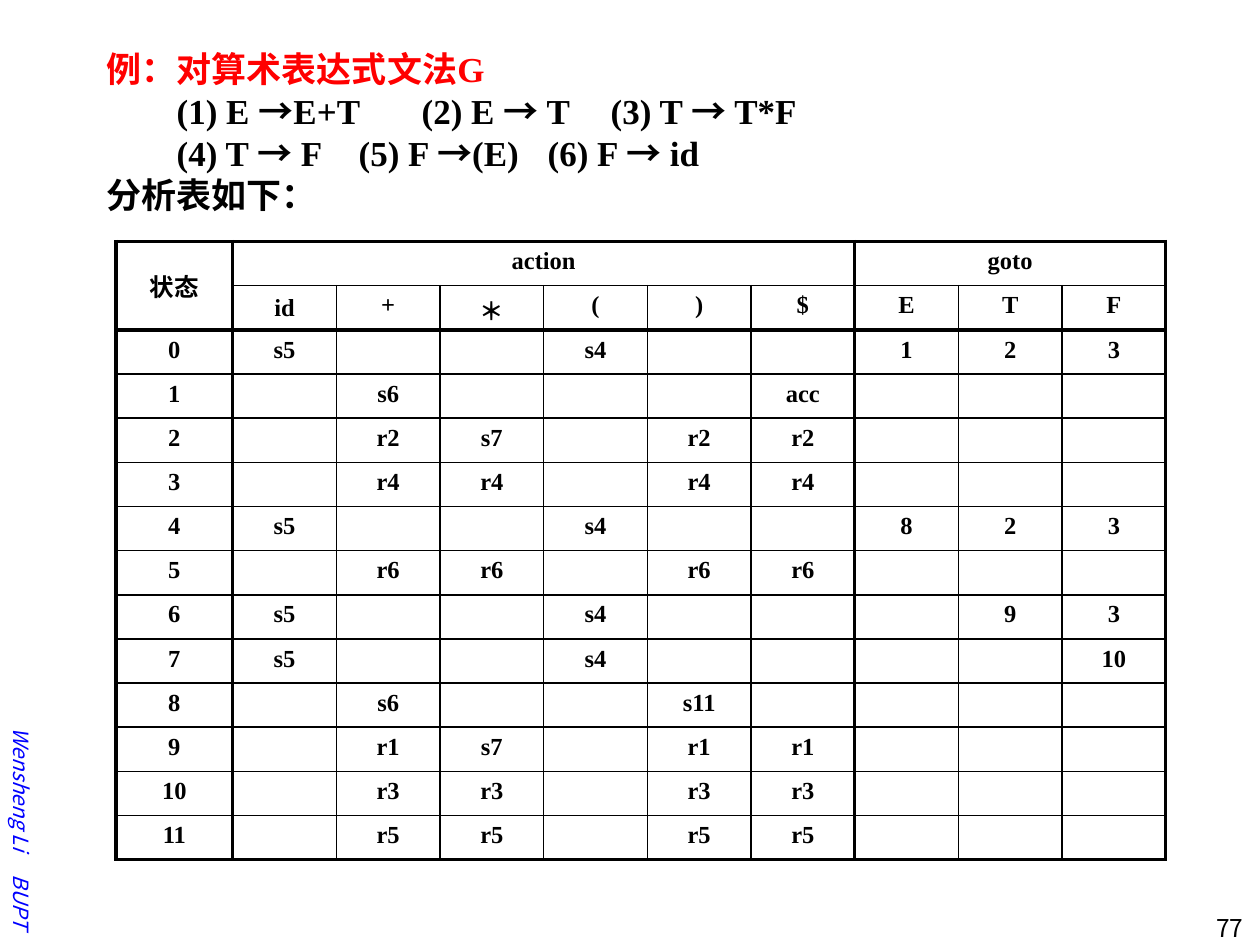
from itertools import groupby

from lxml.etree import SubElement
from pptx import Presentation
from pptx.dml.color import RGBColor
from pptx.enum.text import MSO_ANCHOR as Anchor, PP_ALIGN as Align
from pptx.oxml.ns import qn
from pptx.util import Cm, Pt

BLACK = RGBColor(0, 0, 0)
RED = RGBColor(255, 0, 0)
BLUE = RGBColor(0, 0, 255)
SERIF = "Times New Roman"
SANS = "Noto Sans CJK SC"
SANS_SIGNS = "→＊状态"

GRAMMAR = [
    "(1) E →E+T\t(2) E → T\t(3) T → T*F",
    "(4) T → F\t(5) F →(E)\t(6) F → id",
]
# One row per line; a dot is an empty cell
ROWS = [line.split() for line in """\
状态 action . . . . . goto . .
. id + ＊ ( ) $ E T F
0 s5 . . s4 . . 1 2 3
1 . s6 . . . acc . . .
2 . r2 s7 . r2 r2 . . .
3 . r4 r4 . r4 r4 . . .
4 s5 . . s4 . . 8 2 3
5 . r6 r6 . r6 r6 . . .
6 s5 . . s4 . . . 9 3
7 s5 . . s4 . . . . 10
8 . s6 . . s11 . . . .
9 . r1 s7 . r1 r1 . . .
10 . r3 r3 . r3 r3 . . .
11 . r5 r5 . r5 r5 . . .""".splitlines()]
THICK_ROWS = {0, 2, 14}
THICK_COLS = {0, 1, 7, 10}


class SlideBuilder:
    def __init__(self, s):
        self.s = s

    def run(self, p, text, size, color=BLACK, font=SERIF, bold=False, italic=False):
        r = p.add_run()
        r.text = text
        f = r.font
        f.size, f.bold, f.italic, f.name = Pt(size), bold, italic, font
        f.color.rgb = color
        SubElement(r._r.get_or_add_rPr(), qn("a:ea")).set("typeface", SANS)
        return r

    def mixed(self, p, text, size, color=BLACK):
        """Bold serif text with its signs set in the sans font."""
        for sans, chars in groupby(text, lambda ch: ch in SANS_SIGNS):
            self.run(p, "".join(chars), size, color, SANS if sans else SERIF, bold=True)

    def box(self, x, y, w, h, align=Align.LEFT, anchor=Anchor.TOP, rotation=0):
        sp = self.s.shapes.add_textbox(Cm(x), Cm(y), Cm(w), Cm(h))
        sp.rotation = rotation
        tf = sp.text_frame
        tf.word_wrap = True
        tf.vertical_anchor = anchor
        tf.paragraphs[0].alignment = align
        return tf

    def grammar_line(self, tf, text, color=BLACK, tabbed=False):
        p = tf.paragraphs[0] if not tf.paragraphs[0].runs else tf.add_paragraph()
        p.line_spacing = Pt(24)
        if tabbed:
            pPr = p._p.get_or_add_pPr()
            pPr.set("marL", "0")
            pPr.set("indent", str(Pt(40)))
            stops = SubElement(pPr, qn("a:tabLst"))
            for pos in (7.62, 15.24):
                SubElement(stops, qn("a:tab"), pos=str(Cm(pos)), algn="l")
        self.mixed(p, text, 20, color)

    def borders(self, cell, row, col, region):
        """Rule a cell; a merged region (top, left, bottom, right) has only outer rules."""
        top, left, bottom, right = region
        origin = (row, col) == (top, left)
        tcPr = cell._tc.get_or_add_tcPr()
        for tag, own, edge, thick in (
            ("a:lnL", col, left, THICK_COLS),
            ("a:lnR", col + 1, right, THICK_COLS),
            ("a:lnT", row, top, THICK_ROWS),
            ("a:lnB", row + 1, bottom, THICK_ROWS),
        ):
            if origin or own == edge:
                ln = SubElement(tcPr, qn(tag), w=str(Pt(2.25 if edge in thick else 1)))
                fill = SubElement(ln, qn("a:solidFill"))
                SubElement(fill, qn("a:srgbClr"), val=str(BLACK))

    def table(self, x, y, first_w, col_w, row_h, rows, regions):
        n_rows, n_cols = len(rows), len(rows[0])
        w = first_w + col_w * (n_cols - 1)
        t = self.s.shapes.add_table(
            n_rows, n_cols, Cm(x), Cm(y), Cm(w), Cm(row_h * n_rows)).table
        t.first_row = t.horz_banding = False
        for i, column in enumerate(t.columns):
            column.width = Cm(col_w if i else first_w)
        for row in t.rows:
            row.height = Cm(row_h)
        for top, left, bottom, right in regions:
            t.cell(top, left).merge(t.cell(bottom - 1, right - 1))
        for i, row in enumerate(rows):
            for j, text in enumerate(row):
                cell = t.cell(i, j)
                region = next(
                    (g for g in regions if g[0] <= i < g[2] and g[1] <= j < g[3]),
                    (i, j, i + 1, j + 1))
                self.borders(cell, i, j, region)
                cell.fill.background()
                p = cell.text_frame.paragraphs[0]
                p.alignment = Align.CENTER
                if text == ".":
                    p._p.get_or_add_endParaRPr().set("sz", "1400")
                else:
                    self.mixed(p, text, 14)
                if text in ("状态", "id"):
                    cell.vertical_anchor = Anchor.MIDDLE
                if text == "＊":
                    cell.margin_bottom = 0


def main():
    prs = Presentation()
    prs.slide_width, prs.slide_height = Cm(25.4), Cm(19.05)
    b = SlideBuilder(prs.slides.add_slide(prs.slide_layouts[6]))

    author = b.box(-2.9, 15.24, 6.7, 0.76, Align.RIGHT, Anchor.MIDDLE, 90).paragraphs[0]
    style = dict(size=12, color=BLUE, font=SANS, italic=True)
    b.run(author, "Wensheng Li", **style)
    gap = b.run(author, " ", **style)
    gap._r.get_or_add_rPr().set("spc", "1070")
    b.run(author, "BUPT", **style)

    number = b.box(22.83, 18.29, 2.49, 0.76, Align.RIGHT)
    b.run(number.paragraphs[0], "77", 14, font=SANS)

    tf = b.box(1.9, 0.84, 22.02, 3.63)
    b.grammar_line(tf, "例：对算术表达式文法G", RED)
    for line in GRAMMAR:
        b.grammar_line(tf, line, tabbed=True)
    b.grammar_line(tf, "分析表如下：")

    b.table(2.34, 4.87, 2.35, 2.09, 0.89, ROWS,
            [(0, 0, 2, 1), (0, 1, 1, 7), (0, 7, 1, 10)])
    prs.save("out.pptx")


if __name__ == "__main__":
    main()
